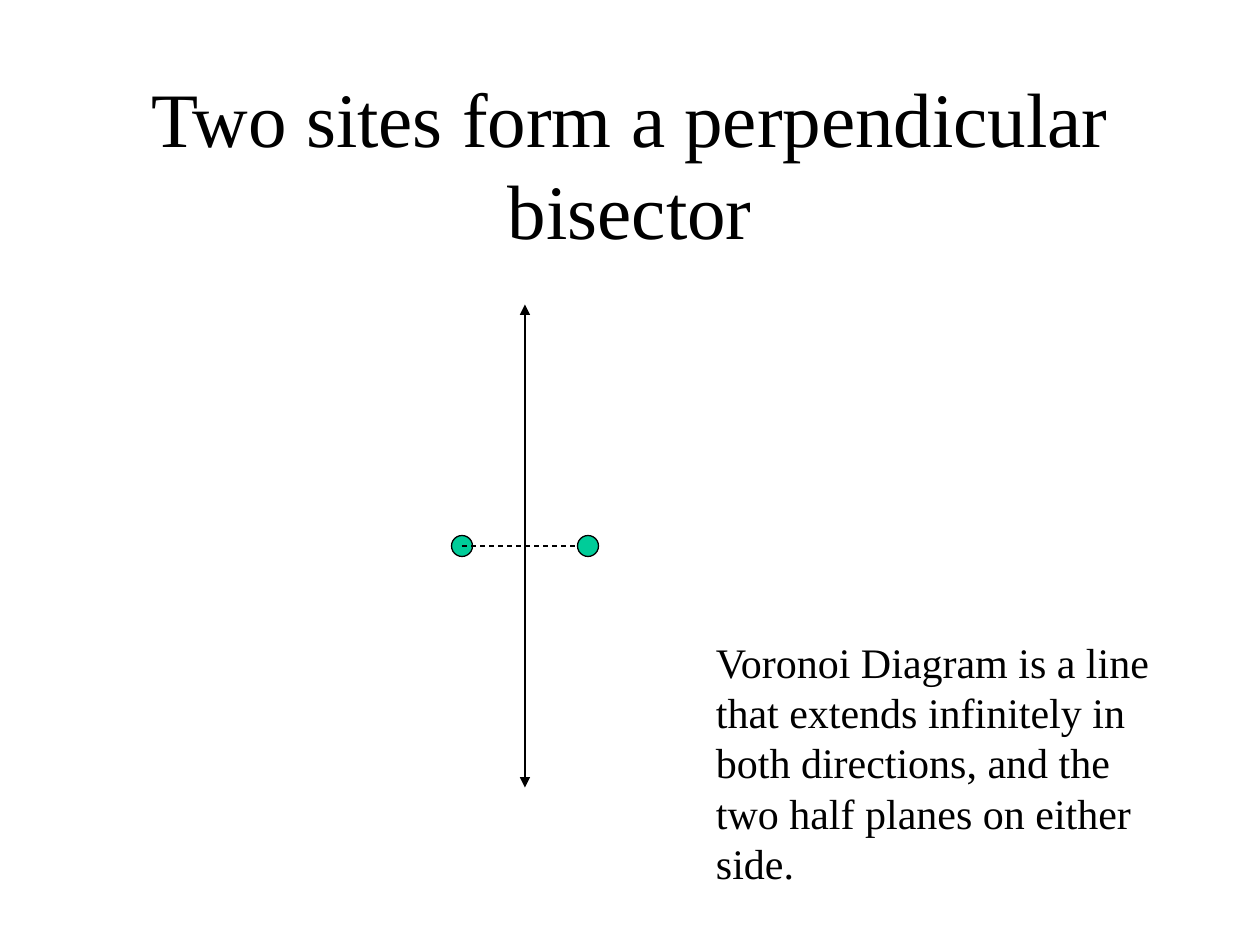
"""Build a slide showing the perpendicular bisector of two Voronoi sites."""
import pptx
import pptx.dml.color
import pptx.enum.dml
import pptx.enum.shapes
import pptx.enum.text
import pptx.oxml
import pptx.oxml.ns
import pptx.util

COLORS = {"ink": "000000", "site": "00CC99"}
FONT = "Times New Roman"

presentation = pptx.Presentation()
presentation.slide_width = pptx.util.Inches(10)
presentation.slide_height = pptx.util.Inches(7.5)
slide = presentation.slides.add_slide(presentation.slide_layouts[6])
column = presentation.slide_width // 120
row = presentation.slide_height // 90


def color(name):
    return pptx.dml.color.RGBColor.from_string(COLORS[name])


def add_site(center_column, center_row):
    site = slide.shapes.add_shape(
        pptx.enum.shapes.MSO_SHAPE.OVAL,
        (center_column - 1) * column, (center_row - 1) * row, 2 * column, 2 * row,
    )
    site.shadow.inherit = False
    site.fill.solid()
    site.fill.fore_color.rgb = color("site")
    site.line.color.rgb = color("ink")
    site.line.width = pptx.util.Pt(0.75)


texts = [
    {
        "box": (9, 8, 102, 15),
        "text": "Two sites form a perpendicular bisector",
        "frame": {"word_wrap": True, "vertical_anchor": pptx.enum.text.MSO_ANCHOR.MIDDLE},
        "alignment": pptx.enum.text.PP_ALIGN.CENTER,
        "size": 44,
    },
    {
        "box": (67, 60, 44, 25),
        "text": "Voronoi Diagram is a line\vthat extends infinitely in\v"
                "both directions, and the\vtwo half planes on either\vside.",
        "frame": {"word_wrap": False, "auto_size": pptx.enum.text.MSO_AUTO_SIZE.SHAPE_TO_FIT_TEXT},
        "alignment": pptx.enum.text.PP_ALIGN.LEFT,
        "size": 24,
    },
]
for item in texts:
    left, top, width, height = item["box"]
    shape = slide.shapes.add_textbox(left * column, top * row, width * column, height * row)
    for name, value in item["frame"].items():
        setattr(shape.text_frame, name, value)
    paragraph = shape.text_frame.paragraphs[0]
    paragraph.text = item["text"]
    paragraph.alignment = item["alignment"]
    for run in paragraph.runs:
        for name, value in {"name": FONT, "size": pptx.util.Pt(item["size"])}.items():
            setattr(run.font, name, value)
        run.font.color.rgb = color("ink")

add_site(44, 52)

lines = [
    {
        "ends": (44, 52, 56, 52),
        "format": {"width": pptx.util.Pt(0.75), "dash_style": pptx.enum.dml.MSO_LINE.DASH},
        "arrowheads": (),
    },
    {
        "ends": (50, 29, 50, 75),
        "format": {"width": pptx.util.Pt(1.25)},
        "arrowheads": ("headEnd", "tailEnd"),
    },
]
bisector_group = slide.shapes.add_group_shape()
for item in lines:
    start_column, start_row, end_column, end_row = item["ends"]
    connector = bisector_group.shapes.add_connector(
        pptx.enum.shapes.MSO_CONNECTOR.STRAIGHT,
        start_column * column, start_row * row, end_column * column, end_row * row,
    )
    connector.line.color.rgb = color("ink")
    for name, value in item["format"].items():
        setattr(connector.line, name, value)
    properties = connector._element.spPr
    outline = properties.find(pptx.oxml.ns.qn("a:ln"))
    for end in item["arrowheads"]:
        outline.append(pptx.oxml.parse_xml(
            f'<a:{end} {pptx.oxml.ns.nsdecls("a")} type="triangle"/>'
        ))
    properties.append(pptx.oxml.parse_xml(f'<a:effectLst {pptx.oxml.ns.nsdecls("a")}/>'))

add_site(56, 52)

presentation.save("out.pptx")
